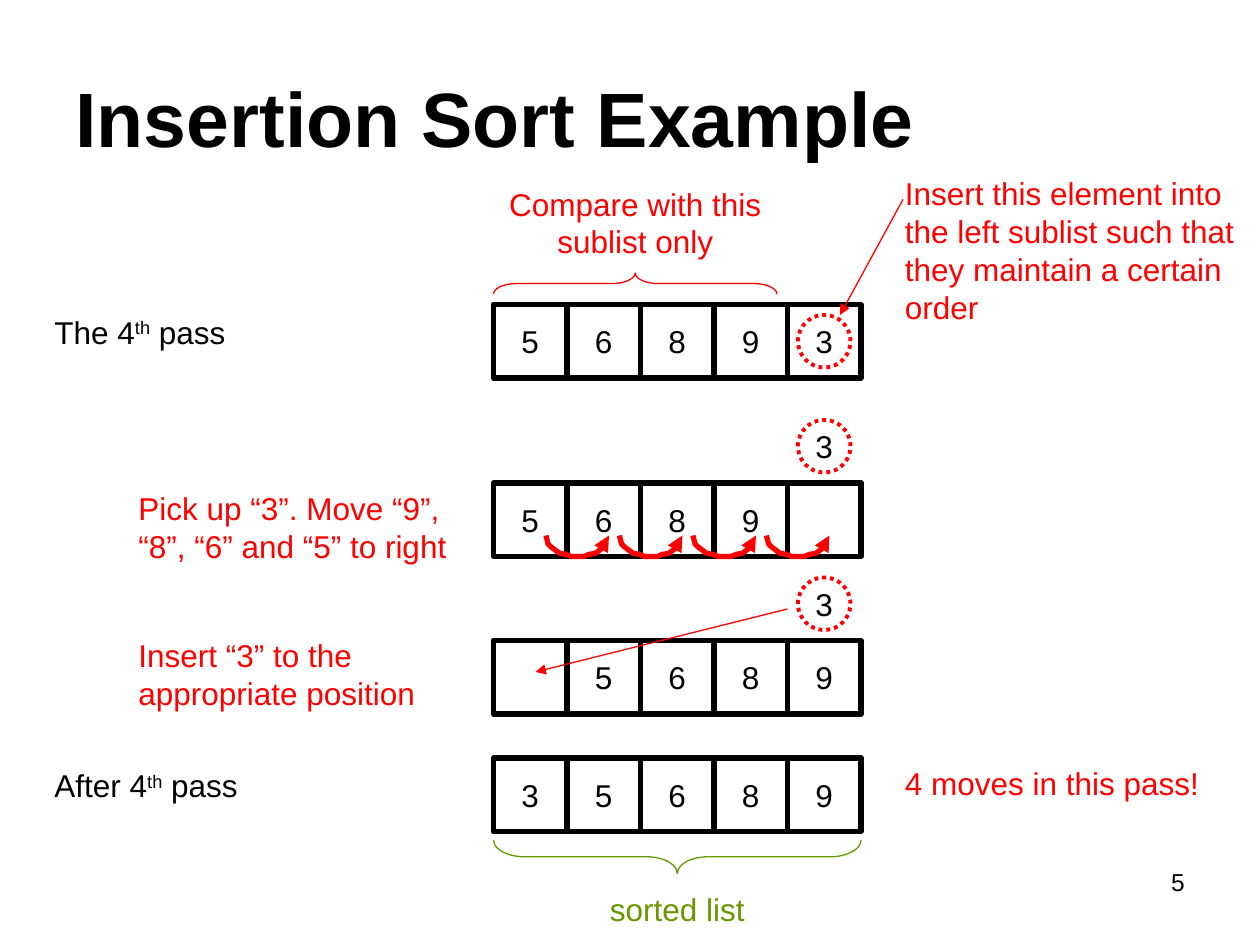
from math import cos, pi, sin

from lxml import etree
from pptx import Presentation
from pptx.dml.color import RGBColor
from pptx.enum.dml import MSO_LINE
from pptx.enum.shapes import MSO_CONNECTOR, MSO_SHAPE
from pptx.enum.text import MSO_ANCHOR, MSO_AUTO_SIZE, PP_ALIGN
from pptx.oxml.ns import qn
from pptx.util import Pt

LEFT, CENTER, RIGHT = PP_ALIGN.LEFT, PP_ALIGN.CENTER, PP_ALIGN.RIGHT
MIDDLE = MSO_ANCHOR.MIDDLE
FIT_TEXT = MSO_AUTO_SIZE.SHAPE_TO_FIT_TEXT
RECTANGLE, OVAL, BRACE = MSO_SHAPE.RECTANGLE, MSO_SHAPE.OVAL, MSO_SHAPE.RIGHT_BRACE
DOTTED = MSO_LINE.ROUND_DOT
STRAIGHT = MSO_CONNECTOR.STRAIGHT

PX = 914400 // 120
COLORS = {"black": "000000", "white": "FFFFFF", "red": "FF0000", "green": "669900"}
CELL = 70
ROW_LEFT = 470


def write(frame, pieces, color="black", size=18, align=LEFT, bold=False):
    paragraph = frame.paragraphs[0]
    paragraph.alignment = align
    for index, piece in enumerate(pieces):
        run = paragraph.add_run()
        run.text = piece
        run.font.name = "Arial"
        run.font.size = Pt(size)
        run.font.bold = bold
        run.font.color.rgb = RGBColor.from_string(COLORS[color])
        if index == 1:
            run.font._element.set("baseline", "30000")


def draw_line(line, color, width, arrow=False):
    line.color.rgb = RGBColor.from_string(COLORS[color])
    line.width = Pt(width)
    if arrow:
        etree.SubElement(line._get_or_add_ln(), qn("a:tailEnd"), type="triangle")


prs = Presentation()
prs.slide_width, prs.slide_height = 1200 * PX, 900 * PX
slide = prs.slides.add_slide(prs.slide_layouts[5])
shapes = slide.shapes

title = shapes.title
title.left, title.top, title.width, title.height = 60 * PX, 36 * PX, 1080 * PX, 150 * PX
title.text_frame.vertical_anchor = MIDDLE
write(title.text_frame, ["Insertion Sort Example"], size=44, bold=True)

page_number = shapes.add_textbox(860 * PX, 820 * PX, 280 * PX, 62 * PX)
page_number.text_frame.word_wrap = True
write(page_number.text_frame, ["5"], size=14, align=RIGHT)

list_states = [
    (290, ["5", "6", "8", "9", "3"]),
    (460, ["5", "6", "8", "9", ""]),
    (610, ["", "5", "6", "8", "9"]),
    (722, ["3", "5", "6", "8", "9"]),
]
for top, values in list_states:
    for column, value in enumerate(values):
        cell = shapes.add_shape(
            RECTANGLE, (ROW_LEFT + column * CELL) * PX, top * PX, CELL * PX, CELL * PX)
        cell.shadow.inherit = False
        cell.fill.solid()
        cell.fill.fore_color.rgb = RGBColor.from_string(COLORS["white"])
        draw_line(cell.line, "black", 3)
        if value:
            cell.text_frame.word_wrap = False
            cell.text_frame.vertical_anchor = MIDDLE
            write(cell.text_frame, [value], align=CENTER)

last_column = ROW_LEFT + 4 * CELL
for top in (390, 540):
    picked_value = shapes.add_textbox(last_column * PX, top * PX, CELL * PX, CELL * PX)
    picked_value.text_frame.word_wrap = False
    picked_value.text_frame.vertical_anchor = MIDDLE
    write(picked_value.text_frame, ["3"], align=CENTER)

for top in (290, 390, 540):
    ring = shapes.add_shape(OVAL, (last_column + 10) * PX, (top + 10) * PX, 50 * PX, 50 * PX)
    ring.shadow.inherit = False
    ring.fill.background()
    draw_line(ring.line, "red", 2.25)
    ring.line.dash_style = DOTTED

notes = [
    (40, 292, 390, 48, ["The 4", "th", " pass"], "black", LEFT),
    (40, 724, 440, 48, ["After 4", "th", " pass"], "black", LEFT),
    (850, 160, 350, 156,
     ["Insert this element into the left sublist such that they maintain a certain order"],
     "red", LEFT),
    (470, 170, 270, 84, ["Compare with this sublist only"], "red", CENTER),
    (120, 460, 340, 84, ["Pick up “3”. Move “9”, “8”, “6” and “5” to right"], "red", LEFT),
    (120, 600, 340, 84, ["Insert “3” to the appropriate position"], "red", LEFT),
    (850, 722, 330, 48, ["4 moves in this pass!"], "red", LEFT),
    (540, 842, 210, 48, ["sorted list"], "green", CENTER),
]
for left, top, width, height, pieces, color, align in notes:
    note = shapes.add_textbox(left * PX, top * PX, width * PX, height * PX)
    note.text_frame.word_wrap = True
    note.text_frame.auto_size = FIT_TEXT
    write(note.text_frame, pieces, color, align=align)

braces = [
    (595, 135, 20, 270, 270, 1.12, "red"),
    (629, 641, 32, 350, 90, 0.92, "green"),
]
for left, top, width, height, rotation, curl, color in braces:
    brace = shapes.add_shape(BRACE, left * PX, top * PX, width * PX, height * PX)
    brace.rotation = rotation
    brace.adjustments[0] = curl
    brace.shadow.inherit = False
    brace.fill.background()
    draw_line(brace.line, color, 0.75)

for x1, y1, x2, y2 in [(860, 190, 800, 300), (750, 580, 510, 640)]:
    pointer = shapes.add_connector(STRAIGHT, x1 * PX, y1 * PX, x2 * PX, y2 * PX)
    draw_line(pointer.line, "red", 0.75, arrow=True)
    etree.SubElement(pointer._element.spPr, qn("a:effectLst"))

ARC_STEPS = 16
for column in range(4):
    center = ROW_LEFT + column * CELL + 80
    angles = [pi * step / ARC_STEPS for step in range(ARC_STEPS + 1)]
    points = [(center - 30 * cos(angle), 510 + 20 * sin(angle)) for angle in angles]
    outline = shapes.build_freeform(*points[0], scale=PX)
    outline.add_line_segments(points[1:], close=False)
    move_arrow = outline.convert_to_shape()
    move_arrow.shadow.inherit = False
    move_arrow.fill.background()
    draw_line(move_arrow.line, "red", 3, arrow=True)

prs.save("out.pptx")
